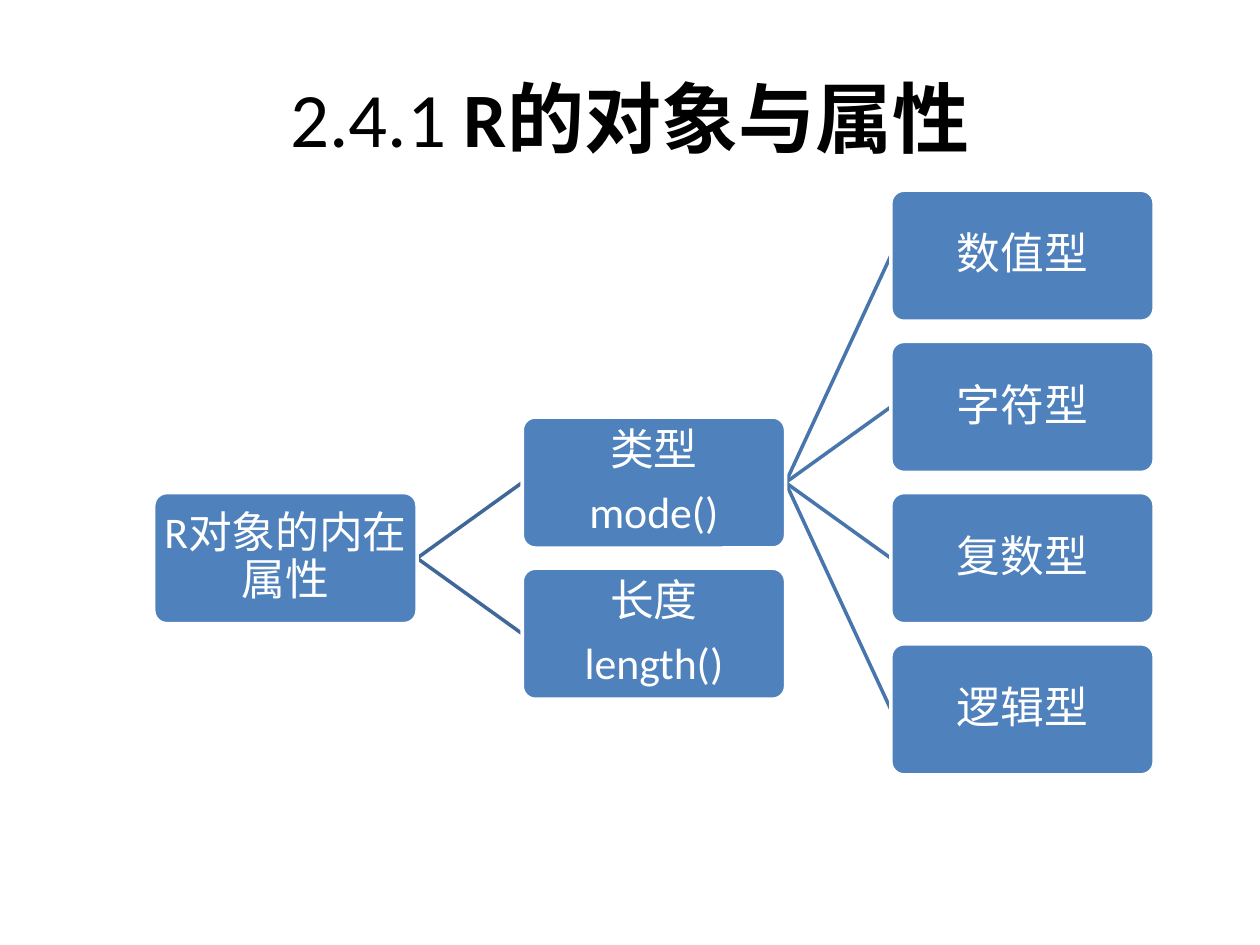
from lxml import etree
from pptx import Presentation
from pptx import util as u
from pptx.dml.color import RGBColor
from pptx.enum import shapes, text
from pptx.oxml.ns import qn

TITLE = [("2.4.1", False), (" R的对象与属性", True)]
# key: (lines, level, row, parent)
NODES = {
    "root": (["R对象的内在属性"], 0, 2, None),
    "mode": (["类型", "mode()"], 1, 1.5, "root"),
    "length": (["长度", "length()"], 1, 2.5, "root"),
    "numeric": (["数值型"], 2, 0, "mode"),
    "character": (["字符型"], 2, 1, "mode"),
    "complex": (["复数型"], 2, 2, "mode"),
    "logical": (["逻辑型"], 2, 3, "mode"),
}
LINK_COLORS = {1: "3F6797", 2: "4875AC"}
BOX_W, BOX_H = 2.09, 1.04
LEFT, FIRST_MIDDLE = 1.22, 2.03
LEVEL_STEP, ROW_STEP = 2.925, 1.2


def rgb(value):
    """Turn a hex string into a colour."""
    return RGBColor.from_string(value)


def write(frame, paragraphs, size, color, inset=None, **spacing):
    """Fill a frame with centred paragraphs of (text, bold) runs."""
    frame.word_wrap = True
    frame.auto_size = text.MSO_AUTO_SIZE.NONE
    frame.vertical_anchor = text.MSO_ANCHOR.MIDDLE
    if inset is not None:
        frame.margin_left = frame.margin_right = u.Inches(inset)
        frame.margin_top = frame.margin_bottom = u.Inches(inset)
    for index, runs in enumerate(paragraphs):
        paragraph = frame.add_paragraph() if index else frame.paragraphs[0]
        paragraph.alignment = text.PP_ALIGN.CENTER
        for name, value in spacing.items():
            setattr(paragraph, name, value)
        for words, bold in runs:
            run = paragraph.add_run()
            run.text = words
            run.font.name = "Calibri"
            run.font.size = u.Pt(size)
            run.font.bold = bold
            run.font.color.rgb = rgb(color)


def place(key):
    """Return the left edge and vertical middle of a node."""
    _, level, row, _ = NODES[key]
    return LEFT + level * LEVEL_STEP, FIRST_MIDDLE + row * ROW_STEP


def add_link(slide, parent, child):
    """Draw a line from the parent's right side to the child's left side."""
    x1, y1 = place(parent)
    x2, y2 = place(child)
    link = slide.shapes.add_connector(
        shapes.MSO_CONNECTOR.STRAIGHT,
        u.Inches(x1 + BOX_W), u.Inches(y1), u.Inches(x2), u.Inches(y2))
    link.line.color.rgb = rgb(LINK_COLORS[NODES[child][1]])
    link.line.width = u.Pt(2)
    etree.SubElement(link._element.spPr, qn("a:effectLst"))


def add_node(slide, key):
    """Draw one rounded box with its text."""
    x, middle = place(key)
    node = slide.shapes.add_shape(
        shapes.MSO_SHAPE.ROUNDED_RECTANGLE, u.Inches(x),
        u.Inches(middle - BOX_H / 2), u.Inches(BOX_W), u.Inches(BOX_H))
    node.adjustments[0] = 0.1
    node.shadow.inherit = False
    node.fill.solid()
    node.fill.fore_color.rgb = rgb("4F81BD")
    node.line.color.rgb = rgb("FFFFFF")
    node.line.width = u.Pt(2)
    write(node.text_frame, [[(line, False)] for line in NODES[key][0]],
          25, "FFFFFF", inset=0.02, line_spacing=0.9, space_after=u.Pt(9))


prs = Presentation()
prs.slide_width, prs.slide_height = u.Inches(10), u.Inches(7.5)
slide = prs.slides.add_slide(prs.slide_layouts[5])

title = slide.shapes.title
title.left, title.top = u.Inches(0.5), u.Inches(0.3)
title.width, title.height = u.Inches(9), u.Inches(1.25)
write(title.text_frame, [TITLE], 44, "000000")

for key, (_, _, _, parent) in NODES.items():
    if parent:
        add_link(slide, parent, key)
for key in NODES:
    add_node(slide, key)

prs.save("out.pptx")
